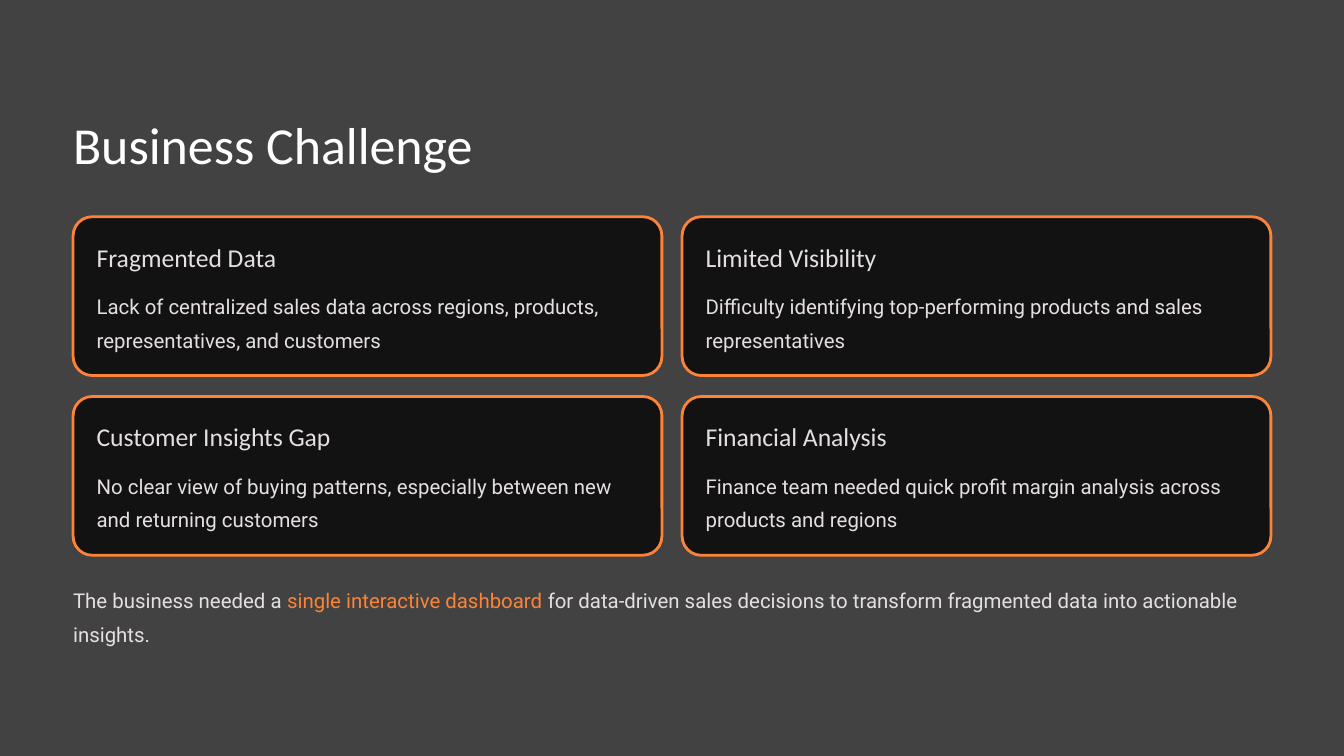
from lxml import etree
from pptx import Presentation
from pptx.dml.color import RGBColor
from pptx.enum.shapes import MSO_SHAPE
from pptx.oxml.ns import qn
from pptx.util import Inches, Pt

WHITE, LIGHT, ORANGE = "FFFFFF", "E5E0DF", "FC8337"
BACKGROUND, CARD = "424242", "030303"


def color(value):
    return RGBColor.from_string(value)


def add_text(left, top, width, height, runs, font, size, spacing, wrap=True):
    """Add a one-paragraph text box; runs is a list of (text, colour)."""
    box = slide.shapes.add_textbox(Inches(left), Inches(top), Inches(width), Inches(height))
    frame = box.text_frame
    frame.word_wrap = wrap
    frame.margin_left = frame.margin_top = frame.margin_right = frame.margin_bottom = 0
    paragraph = frame.paragraphs[0]
    paragraph.line_spacing = Pt(spacing)
    paragraph.font.name = font
    paragraph.font.size = Pt(size)
    for text, run_color in runs:
        run = paragraph.add_run()
        run.text = text
        run.font.color.rgb = color(run_color)


presentation = Presentation()
presentation.slide_width, presentation.slide_height = Inches(16), Inches(9)
slide = presentation.slides.add_slide(presentation.slide_layouts[6])
slide.background.fill.solid()
slide.background.fill.fore_color.rgb = color(BACKGROUND)

# Title
add_text(0.87, 1.31, 6.2, 0.78, [("Business Challenge", WHITE)], "Calibri", 44.5, 55.5, wrap=False)

# Challenge cards, two per row
challenges = [
    ("Fragmented Data",
     "Lack of centralized sales data across regions, products, representatives, and customers"),
    ("Limited Visibility",
     "Difficulty identifying top-performing products and sales representatives"),
    ("Customer Insights Gap",
     "No clear view of buying patterns, especially between new and returning customers"),
    ("Financial Analysis",
     "Finance team needed quick profit margin analysis across products and regions"),
]
for index, (heading, description) in enumerate(challenges):
    row, column = divmod(index, 2)
    left, top = 0.87 + 7.25 * column, 2.58 + 2.14 * row

    card = slide.shapes.add_shape(
        MSO_SHAPE.ROUNDED_RECTANGLE, Inches(left), Inches(top), Inches(7.01), Inches(1.89))
    card.adjustments[0] = 0.12
    card.shadow.inherit = False
    card.fill.solid()
    card.fill.fore_color.rgb = color(CARD)
    fill_color = card.fill._xPr.find(qn("a:solidFill"))[0]
    etree.SubElement(fill_color, qn("a:alpha"), val="75000")
    card.line.color.rgb = color(ORANGE)
    card.line.width = Pt(2.4)

    add_text(left + 0.28, top + 0.28, 3.23, 0.39, [(heading, LIGHT)], "Calibri", 22, 27.5, wrap=False)
    add_text(left + 0.28, top + 0.82, 6.45, 0.79, [(description, LIGHT)], "Roboto", 17.5, 28.5)

# Conclusion
conclusion = [
    ("The business needed a ", LIGHT),
    ("single interactive dashboard", ORANGE),
    (" for data-driven sales decisions to transform fragmented data into actionable insights.", LIGHT),
]
add_text(0.87, 6.9, 14.26, 0.79, conclusion, "Roboto", 17.5, 28.5)

presentation.save("out.pptx")
